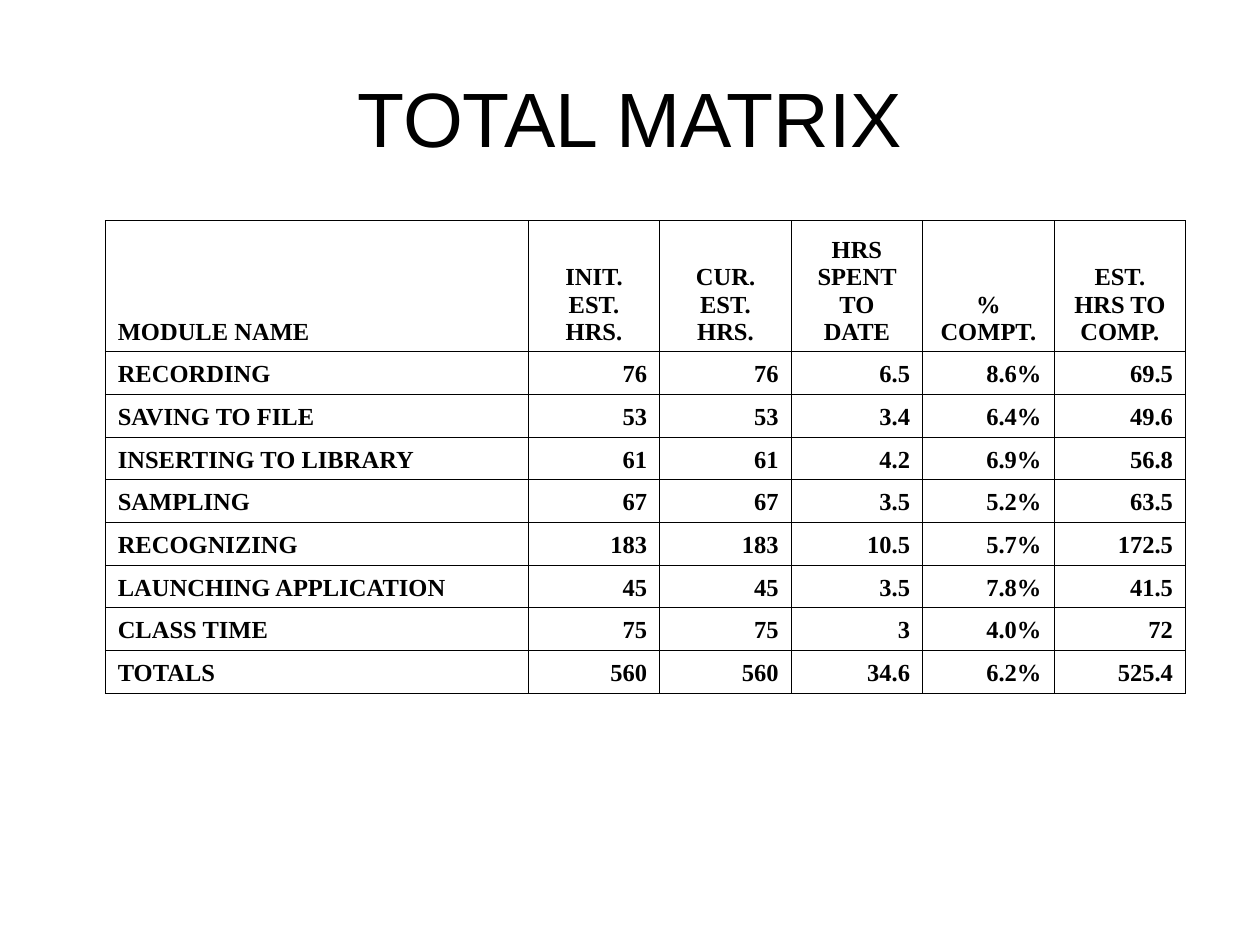
"""Build the total matrix slide with its table of module hours."""
import lxml.etree
import pptx
import pptx.dml.color
import pptx.enum.text
import pptx.oxml.ns
import pptx.util

Cm = pptx.util.Cm
Pt = pptx.util.Pt
Align = pptx.enum.text.PP_ALIGN
Anchor = pptx.enum.text.MSO_ANCHOR
qn = pptx.oxml.ns.qn

BLACK = pptx.dml.color.RGBColor(0, 0, 0)

HEADINGS = ["MODULE NAME", "INIT. EST. HRS.", "CUR. EST. HRS.",
            "HRS SPENT TO DATE", "% COMPT.", "EST. HRS TO COMP."]
MODULES = [
    ["RECORDING", "76", "76", "6.5", "8.6%", "69.5"],
    ["SAVING TO FILE", "53", "53", "3.4", "6.4%", "49.6"],
    ["INSERTING TO LIBRARY", "61", "61", "4.2", "6.9%", "56.8"],
    ["SAMPLING", "67", "67", "3.5", "5.2%", "63.5"],
    ["RECOGNIZING", "183", "183", "10.5", "5.7%", "172.5"],
    ["LAUNCHING APPLICATION", "45", "45", "3.5", "7.8%", "41.5"],
    ["CLASS TIME", "75", "75", "3", "4.0%", "72"],
    ["TOTALS", "560", "560", "34.6", "6.2%", "525.4"],
]


class MatrixPage:
    title_font = "Arial"
    title_size = Pt(44)
    table_font = "Times New Roman"
    table_size = Pt(14)
    color = BLACK
    border_width = Pt(0.45)

    def __init__(self, deck):
        self.page = deck.slides.add_slide(deck.slide_layouts[5])

    def set_text(self, frame, text, align, font, size, bold):
        frame.text = text
        para = frame.paragraphs[0]
        para.alignment = align
        for span in para.runs:
            span.font.name = font
            span.font.size = size
            span.font.bold = bold
            span.font.color.rgb = self.color

    def title(self, text, left, top, width, height):
        box = self.page.shapes.title
        box.left, box.top, box.width, box.height = left, top, width, height
        box.text_frame.vertical_anchor = Anchor.MIDDLE
        self.set_text(box.text_frame, text, Align.CENTER,
                      self.title_font, self.title_size, False)

    def border(self, cell):
        properties = cell._tc.get_or_add_tcPr()
        for side in ("a:lnL", "a:lnR", "a:lnT", "a:lnB"):
            line = lxml.etree.SubElement(properties, qn(side), w=str(self.border_width))
            fill = lxml.etree.SubElement(line, qn("a:solidFill"))
            lxml.etree.SubElement(fill, qn("a:srgbClr"), val=str(self.color))

    def table(self, rows, left, top, widths, heights):
        frame = self.page.shapes.add_table(
            len(rows), len(widths), left, top, sum(widths), sum(heights))
        table = frame.table
        table.horz_banding = False
        for column, width in zip(table.columns, widths):
            column.width = width
        for row, height in zip(table.rows, heights):
            row.height = height
        for row_index, values in enumerate(rows):
            for column_index, value in enumerate(values):
                if column_index == 0:
                    align = Align.LEFT
                else:
                    align = Align.RIGHT if row_index else Align.CENTER
                cell = table.cell(row_index, column_index)
                cell.vertical_anchor = Anchor.BOTTOM
                self.border(cell)
                cell.fill.background()
                self.set_text(cell.text_frame, value, align,
                              self.table_font, self.table_size, True)


def main():
    deck = pptx.Presentation()
    deck.slide_width, deck.slide_height = Cm(25.4), Cm(19.05)
    matrix = MatrixPage(deck)
    matrix.title("TOTAL MATRIX", Cm(1.27), Cm(0.76), Cm(22.86), Cm(3.18))
    matrix.table([HEADINGS] + MODULES, Cm(2.12), Cm(4.45),
                 [Cm(8.53)] + [Cm(2.65)] * 5,
                 [Cm(2.64)] + [Cm(0.86)] * len(MODULES))
    deck.save("out.pptx")


if __name__ == "__main__":
    main()
